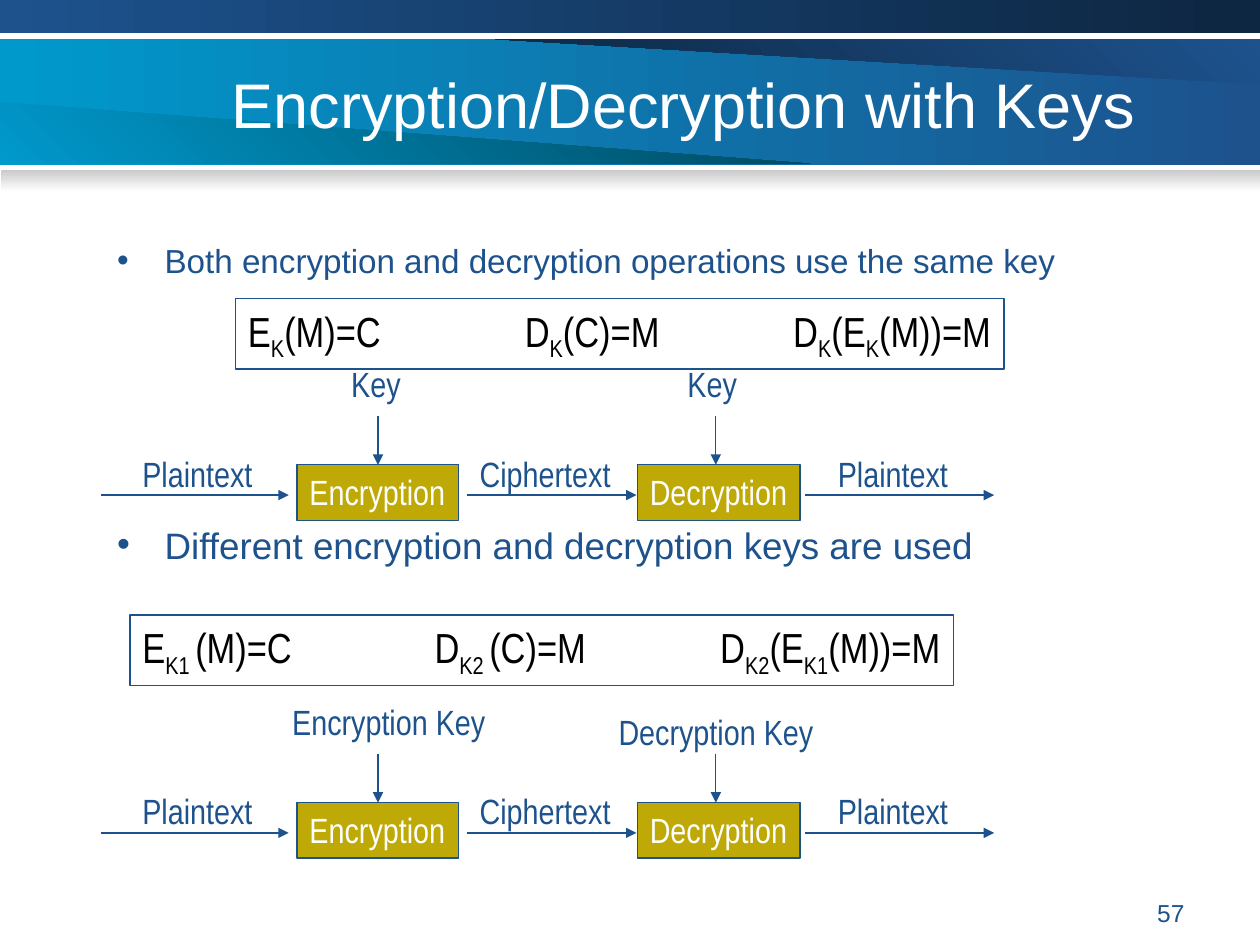
from lxml import etree
from pptx import Presentation
from pptx.dml.color import RGBColor
from pptx.enum import shapes as es, text as et
from pptx.oxml.ns import qn
from pptx.util import Cm, Pt

BLUE = RGBColor(0x1D, 0x52, 0x8D)
NAVY = RGBColor(0x0D, 0x26, 0x41)
CYAN = RGBColor(0x00, 0x99, 0xCC)
TEAL = RGBColor(0x00, 0x47, 0x5E)
GREY = RGBColor(0xCA, 0xCA, 0xCA)
GOLD = RGBColor(0xBF, 0xA9, 0x07)
WHITE = RGBColor(0xFF, 0xFF, 0xFF)
BLACK = RGBColor(0, 0, 0)
SANS, SLIM = "Arial", "Arial Narrow"

# Content; lengths in cm
TITLE = "Encryption/Decryption with Keys"
PAGE = "57"
# text, size, space before in points
POINTS = [
    ("Both encryption and decryption operations use the same key", 19, 0),
    ("Different encryption and decryption keys are used", 21, 138.5),
]
# left, top, width, tab stops, parts with _subscripts_
RULES = [
    (4.75, 6.02, 15.49, (5.58, 10.99),
     ["E_K_(M)=C", "D_K_(C)=M", "D_K_(E_K_(M))=M"]),
    (2.62, 12.4, 16.61, (5.89, 11.65),
     ["E_K1 _(M)=C", "D_K2 _(C)=M", "D_K2_(E_K1_(M))=M"]),
]
# axis of each flow, then its keys: text, left, top, width
FLOWS = [
    (9.98, [("Key", 6.83, 7.19, 1.5), ("Key", 13.61, 7.19, 1.5)]),
    (16.79, [("Encryption Key", 5.64, 14, 4.39),
             ("Decryption Key", 12.22, 14.2, 4.45)]),
]
LABELS = [("Plaintext", 2.62, 2.72), ("Ciphertext", 9.42, 3.15),
          ("Plaintext", 16.64, 2.72)]
STEPS = [("Encryption", 5.99, 3.25), ("Decryption", 12.85, 3.28)]
PATHS = [(2.03, 5.82), (9.42, 12.83), (16.23, 20.04)]
DROPS = [7.62, 14.43]
TALL = 1.12
# left, top, width, height, colours, angle
BANDS = [
    (0, 0.79, 25.4, 2.54, CYAN, BLUE, 0),
    (0, 0, 25.4, 0.66, BLUE, NAVY, 0),
    (0.03, 3.43, 25.37, 0.43, GREY, WHITE, 270),
]
WEDGES = [
    ([(9.98, 0.79), (25.4, 1.7), (25.4, 0.79)], BLUE, NAVY, 225),
    ([(0, 3.3), (16.33, 3.3), (0, 2.06)], CYAN, TEAL, 45),
]

prs = Presentation()
prs.slide_width, prs.slide_height = Cm(25.4), Cm(19.05)
slide = prs.slides.add_slide(prs.slide_layouts[5])
parts = slide.shapes


def blend(shape, start, end, angle):
    shape.shadow.inherit = False
    shape.line.fill.background()
    shape.fill.gradient()
    shape.fill.gradient_angle = angle
    for stop, color in zip(shape.fill.gradient_stops, (start, end)):
        stop.color.rgb = color


def style(para, size, name, color):
    font = para.font
    font.size, font.name, font.color.rgb = Pt(size), name, color


def add_rect(x, y, w, h, fill=None):
    box = parts.add_shape(es.MSO_SHAPE.RECTANGLE, Cm(x), Cm(y), Cm(w), Cm(h))
    box.shadow.inherit = False
    box.line.color.rgb, box.line.width = BLUE, Pt(0.75)
    if fill is None:
        box.fill.background()
    else:
        box.fill.solid()
        box.fill.fore_color.rgb = fill
    return box


def add_box(x, y, w, h):
    return parts.add_textbox(Cm(x), Cm(y), Cm(w), Cm(h))


def write(shape, words, color=BLUE):
    frame = shape.text_frame
    frame.word_wrap = True
    frame.margin_right = 0  # room for the text to stay on one line
    frame.vertical_anchor = et.MSO_ANCHOR.TOP
    para = frame.paragraphs[0]
    para.text = words
    para.alignment = et.PP_ALIGN.LEFT
    style(para, 20, SLIM, color)


def add_arrow(x1, y1, x2, y2):
    line = parts.add_connector(es.MSO_CONNECTOR.STRAIGHT,
                               Cm(x1), Cm(y1), Cm(x2), Cm(y2))
    line.line.color.rgb, line.line.width = BLUE, Pt(0.75)
    etree.SubElement(line.line._get_or_add_ln(), qn("a:tailEnd"), type="triangle")
    etree.SubElement(line.element.spPr, qn("a:effectLst"))


# Header bands and wedges
for x, y, w, h, start, end, angle in BANDS:
    blend(add_rect(x, y, w, h), start, end, angle)
for spots, start, end, angle in WEDGES:
    spots = [(Cm(x), Cm(y)) for x, y in spots]
    path = parts.build_freeform(*spots[0])
    path.add_line_segments(spots[1:])
    blend(path.convert_to_shape(), start, end, angle)

# Title, raised above the bands
title = parts.title
title.element.getparent().append(title.element)
title.left, title.top, title.width, title.height = map(Cm, (4.42, 1.04, 19.48, 2.08))
title.text_frame.text = TITLE
title.text_frame.auto_size = et.MSO_AUTO_SIZE.NONE
title.text_frame.vertical_anchor = et.MSO_ANCHOR.MIDDLE
head = title.text_frame.paragraphs[0]
head.alignment = et.PP_ALIGN.LEFT
style(head, 36, SANS, WHITE)

# Bullet points
body = add_box(2.11, 4.32, 21.84, 12.07).text_frame
body.word_wrap = True
body.margin_top = Cm(0.52)
for i, (words, size, gap) in enumerate(POINTS):
    para = body.add_paragraph() if i else body.paragraphs[0]
    para.text = words
    props = para._p.get_or_add_pPr()
    props.set("marL", str(Cm(0.96)))
    props.set("indent", str(-Cm(0.96)))
    etree.SubElement(props, qn("a:buFont"), typeface=SANS)
    etree.SubElement(props, qn("a:buChar"), char="•")
    para.space_before = Pt(gap)
    style(para, size, SANS, BLUE)

# Flow diagrams
for axis, keys in FLOWS:
    for words, x, w in LABELS:
        write(add_box(x, axis - 0.99, w, TALL), words)
    for words, x, w in STEPS:
        write(add_rect(x, axis - 0.61, w, TALL, GOLD), words, WHITE)
    for x1, x2 in PATHS:
        add_arrow(x1, axis, x2, axis)
    for x in DROPS:
        add_arrow(x, axis - 1.6, x, axis - 0.61)
    for words, x, y, w in keys:
        write(add_box(x, y, w, TALL), words)

# Formula boxes
for x, y, w, stops, terms in RULES:
    frame = add_rect(x, y, w, 1.42).text_frame
    frame.word_wrap = True
    frame.margin_right = 0
    para = frame.paragraphs[0]
    para.alignment = et.PP_ALIGN.LEFT
    tabs = etree.SubElement(para._p.get_or_add_pPr(), qn("a:tabLst"))
    for stop in stops:
        etree.SubElement(tabs, qn("a:tab"), pos=str(Cm(stop)), algn="l")
    style(para, 24, SLIM, BLACK)
    for i, bit in enumerate("\t".join(terms).split("_")):
        run = para.add_run()
        run.text = bit
        if i % 2:
            run._r.get_or_add_rPr().set("baseline", "-25000")

# Page number
page = add_box(18.21, 17.98, 5.92, 0.69).text_frame.paragraphs[0]
page.text = PAGE
page.alignment = et.PP_ALIGN.RIGHT
style(page, 14, SANS, BLUE)

prs.save("out.pptx")
